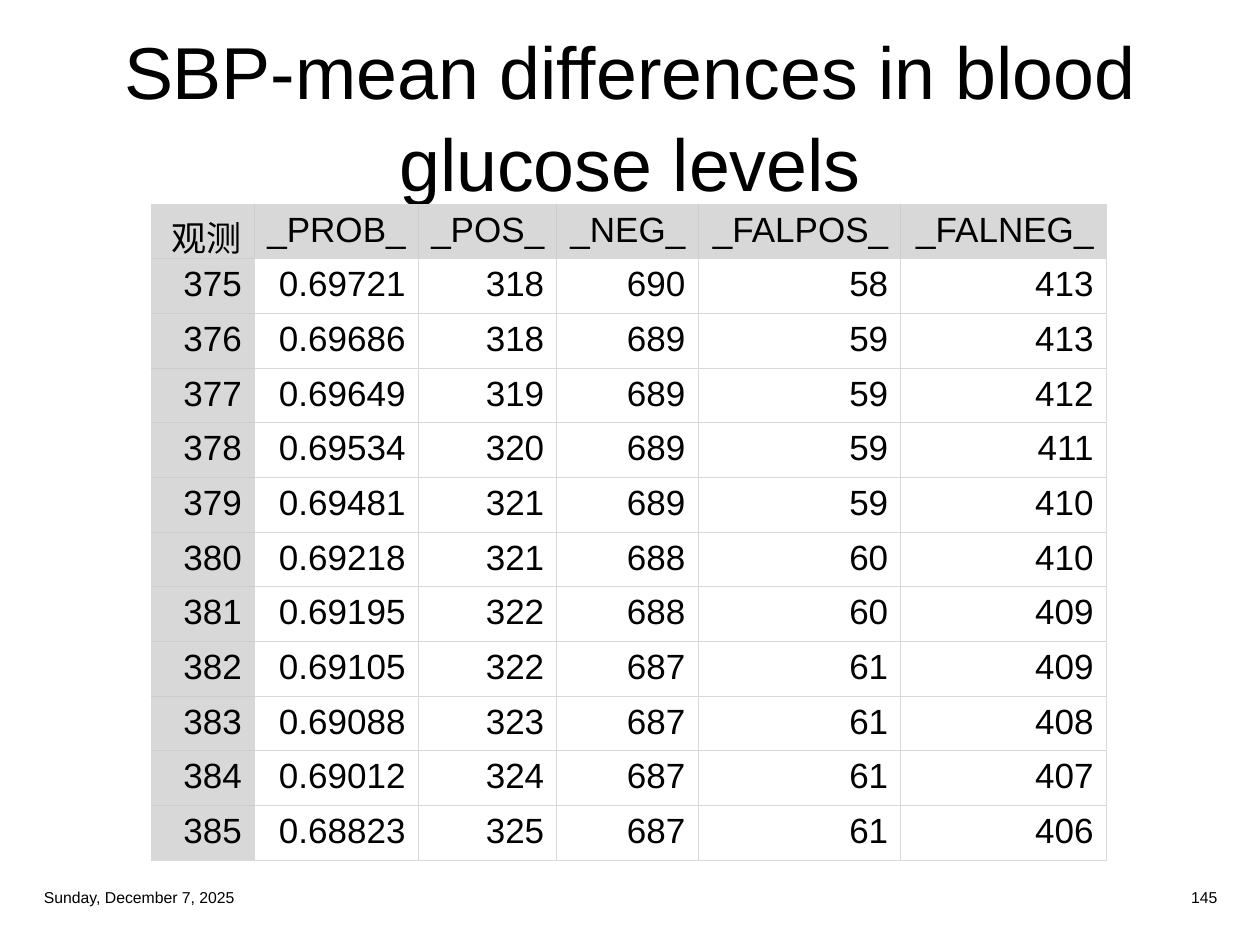
from lxml import etree
from pptx import Presentation
from pptx.dml.color import RGBColor
from pptx.enum import text as t
from pptx.oxml.ns import qn
from pptx.util import Inches, Pt

TITLE = "SBP-mean differences in blood\vglucose levels"
DATE, PAGE = "Sunday, December 7, 2025", "145"
HEAD = ["观测", "_PROB_", "_POS_", "_NEG_", "_FALPOS_", "_FALNEG_"]
FIRST = 375
DATA = [
    ("0.69721", 318, 690, 58, 413),
    ("0.69686", 318, 689, 59, 413),
    ("0.69649", 319, 689, 59, 412),
    ("0.69534", 320, 689, 59, 411),
    ("0.69481", 321, 689, 59, 410),
    ("0.69218", 321, 688, 60, 410),
    ("0.69195", 322, 688, 60, 409),
    ("0.69105", 322, 687, 61, 409),
    ("0.69088", 323, 687, 61, 408),
    ("0.69012", 324, 687, 61, 407),
    ("0.68823", 325, 687, 61, 406),
]
WIDTHS = [0.82, 1.3, 1.1, 1.12, 1.61, 1.63]
ROW = 0.42
GREY, RULE, BLACK = "D8D8D8", "CCCCCC", "000000"
LEFT, MID, RIGHT = t.PP_ALIGN.LEFT, t.PP_ALIGN.CENTER, t.PP_ALIGN.RIGHT


def color(code):
    return RGBColor.from_string(code)


def style(par, size, align):
    par.alignment = align
    par.font.size = Pt(size)
    par.font.name = "Arial"
    par.font.color.rgb = color(BLACK)


def label(slide, words, box, size, align):
    frame = slide.shapes.add_textbox(*map(Inches, box)).text_frame
    frame.word_wrap = True
    frame.vertical_anchor = t.MSO_ANCHOR.MIDDLE
    frame.text = words
    style(frame.paragraphs[0], size, align)
    return frame.paragraphs[0]


def edge(cell, side, code):
    """Draw one cell border; it must come before the cell's fill."""
    line = etree.SubElement(cell._tc.get_or_add_tcPr(), qn("a:ln" + side), w=str(Pt(0.5)))
    fill = etree.SubElement(line, qn("a:solidFill"))
    etree.SubElement(fill, qn("a:srgbClr"), val=code)


def grid(slide, rows):
    high, wide = len(rows), len(WIDTHS)
    table = slide.shapes.add_table(high, wide, Inches(1.2), Inches(1.62),
                                   Inches(sum(WIDTHS)), Inches(ROW * high)).table
    for col, width in zip(table.columns, WIDTHS):
        col.width = Inches(width)
    for r, row in enumerate(rows):
        table.rows[r].height = Inches(ROW)
        for c, value in enumerate(row):
            cell = table.cell(r, c)
            cell.text = str(value)
            style(cell.text_frame.paragraphs[0], 20, RIGHT)
            shaded = r == 0 or c == 0
            outer = {"L": c == 0, "R": c == wide - 1, "T": r == 0, "B": r == high - 1}
            for side, rim in outer.items():
                edge(cell, side, RULE if shaded and not rim else GREY)
            if shaded:
                cell.fill.solid()
                cell.fill.fore_color.rgb = color(GREY)
            else:
                cell.fill.background()


def main():
    deck = Presentation()
    deck.slide_width, deck.slide_height = Inches(10), Inches(7.5)
    slide = deck.slides.add_slide(deck.slide_layouts[6])
    title = label(slide, TITLE, (0.25, 0.25, 9.5, 1.31), 42, MID)
    title.line_spacing = 1.04
    grid(slide, [HEAD] + [(FIRST + i, *row) for i, row in enumerate(DATA)])
    label(slide, DATE, (0.25, 6.99, 2.38, 0.26), 9, LEFT)
    label(slide, PAGE, (7.38, 6.99, 2.38, 0.26), 9, RIGHT)
    deck.save("out.pptx")


if __name__ == "__main__":
    main()
